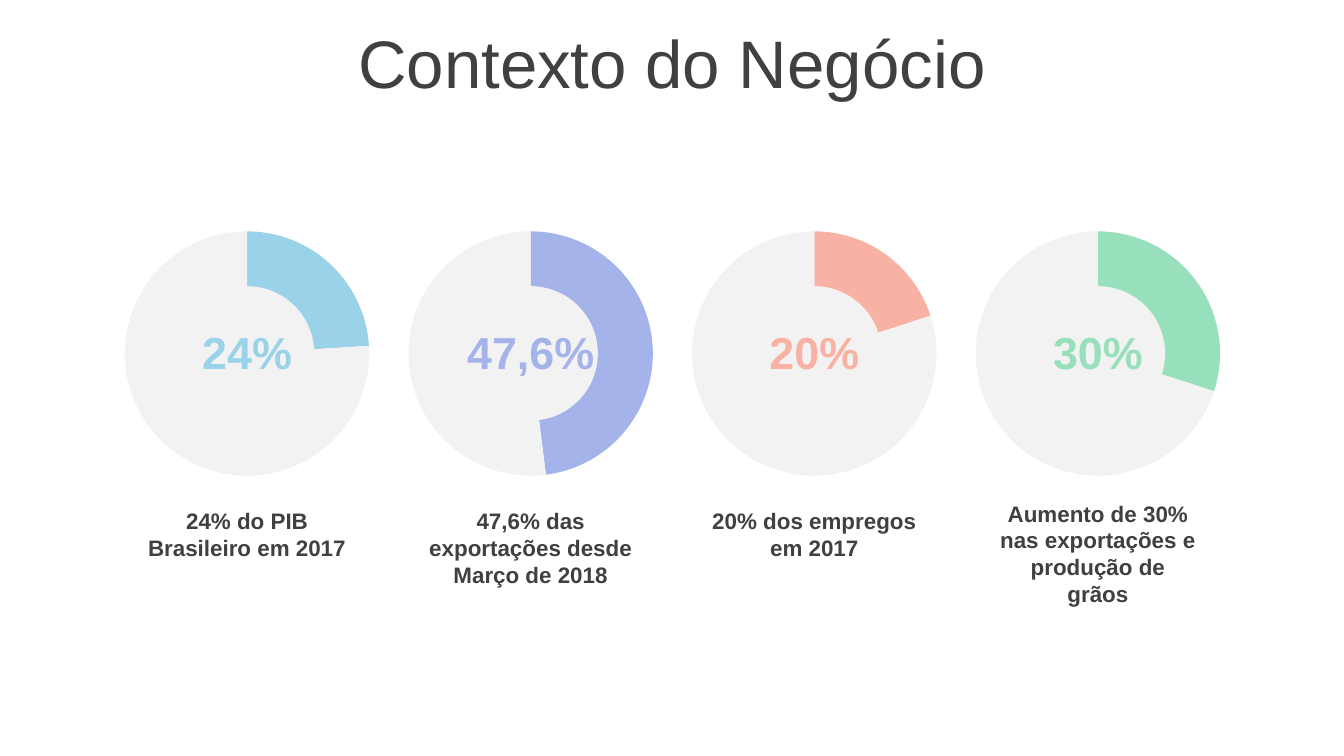
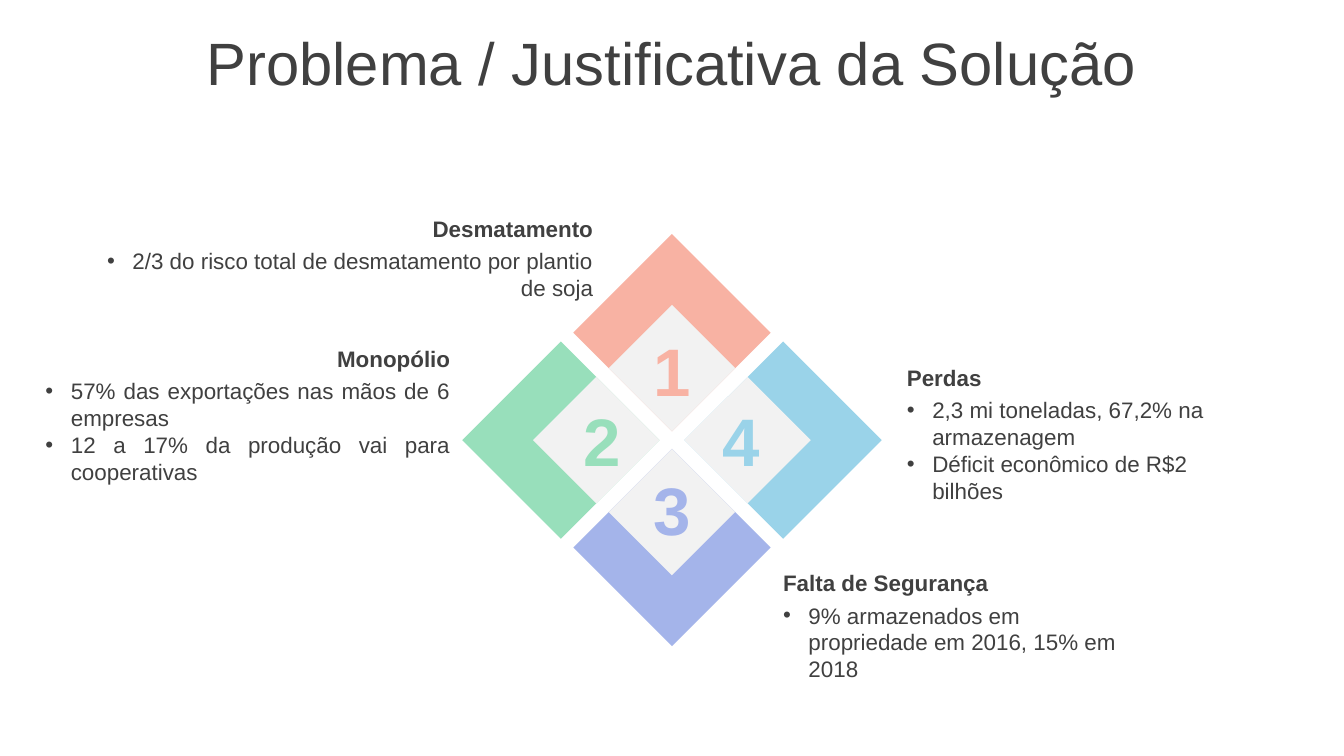
"""Build two slides on the business context and the problems behind the solution."""
from dataclasses import dataclass
from typing import Optional

from lxml.etree import SubElement
from pptx import Presentation
from pptx.chart.data import CategoryChartData
from pptx.dml.color import RGBColor
from pptx.enum.chart import XL_CHART_TYPE as ChartType
from pptx.enum.shapes import MSO_SHAPE as Preset
from pptx.enum.text import MSO_ANCHOR as Anchor, MSO_AUTO_SIZE as AutoSize, PP_ALIGN as Align
from pptx.oxml.ns import qn
from pptx.shapes.shapetree import GroupShapes, SlideShapes
from pptx.slide import Slide
from pptx.util import Cm, Pt


@dataclass(frozen=True)
class Theme:
    font: str = "Arial"
    text: str = "404040"
    black: str = "000000"
    paper: str = "FFFFFF"
    grey: str = "F2F2F2"
    blue: str = "9AD3E9"
    violet: str = "A4B4EA"
    coral: str = "F8B2A3"
    green: str = "98DFBB"
    title: int = 36
    long_title: int = 32
    number: int = 36
    percent: int = 24
    chart: int = 18
    body: int = 12


@dataclass(frozen=True)
class Box:
    left: float
    top: float
    width: float
    height: float

    def emu(self) -> tuple[Cm, Cm, Cm, Cm]:
        return Cm(self.left), Cm(self.top), Cm(self.width), Cm(self.height)


@dataclass(frozen=True)
class Indicator:
    value: int
    label: str
    label_width: float
    color: str
    caption: str
    caption_top: float
    caption_width: float
    caption_height: float


@dataclass(frozen=True)
class Quadrant:
    number: str
    color: str
    dx: int
    dy: int


@dataclass(frozen=True)
class Topic:
    heading: str
    bullets: tuple[str, ...]
    left: float
    top: float
    width: float
    body_height: float
    heading_align: Align = Align.LEFT
    body_align: Align = Align.LEFT


T = Theme()
SLIDE_W, SLIDE_H = 25.4, 14.29
TITLE_BOX = Box(0, 0.36, SLIDE_W, 1.6)

RING_X, RING_STEP = 4.67, 5.36
RING_TOP, RING_W, RING_H = 4.27, 4.62, 4.78
HUB_TOP, HUB = 5.41, 2.54
LABEL_TOP, LABEL_H = 6.02, 1.27

CENTER_X, CENTER_Y = 12.7, 8.32
OFFSET_X, OFFSET_Y = 2.1, 2.03
OUTER, INNER = 3.73, 2.39
INSET = (OUTER - INNER) / 2
NUMBER_OFFSET, NUMBER_W, NUMBER_H = 1.31, 1.55, 1.8
HEADING_H, BODY_DROP, BULLET_INDENT = 0.76, 0.61, 0.48

INDICATORS = (
    Indicator(24, "24%", 2.59, T.blue, "24% do PIB Brasileiro em 2017", 9.47, 4.27, 1.27),
    Indicator(48, "47,6%", 3.33, T.violet,
              "47,6% das exportações desde Março de 2018", 9.47, 4.8, 1.8),
    Indicator(20, "20%", 2.59, T.coral, "20% dos empregos em 2017", 9.47, 4.55, 1.27),
    Indicator(30, "30%", 2.59, T.green,
              "Aumento de 30% nas exportações e produção de grãos", 9.32, 4.27, 2.31),
)

QUADRANTS = (
    Quadrant("1", T.coral, 0, -1),
    Quadrant("3", T.violet, 0, 1),
    Quadrant("2", T.green, -1, 0),
    Quadrant("4", T.blue, 1, 0),
)

TOPICS = (
    Topic("Perdas",
          ("2,3 mi toneladas, 67,2% na armazenagem", "Déficit econômico de R$2 bilhões"),
          16.89, 6.76, 7.19, 2.31),
    Topic("Monopólio",
          ("57% das exportações nas mãos de 6 empresas",
           "12 a 17% da produção vai para cooperativas"),
          0.61, 6.4, 8.15, 1.8, Align.RIGHT, Align.JUSTIFY),
    Topic("Falta de Segurança",
          ("9% armazenados em propriedade em 2016, 15% em 2018",),
          14.55, 10.64, 7.19, 2.31),
    Topic("Desmatamento",
          ("2/3 do risco total de desmatamento por plantio de soja",),
          1.45, 3.94, 10.01, 1.27, Align.RIGHT, Align.RIGHT),
)


def rgb(color: str) -> RGBColor:
    return RGBColor.from_string(color)


def centered(cx: float, cy: float, width: float, height: float) -> Box:
    return Box(cx - width / 2, cy - height / 2, width, height)


def add_run(p, text: str, size: int, color: str = T.text, bold: bool = False) -> None:
    r = p.add_run()
    r.text = text
    r.font.name = T.font
    r.font.size = Pt(size)
    r.font.bold = bold
    r.font.color.rgb = rgb(color)


def set_bullet(p) -> None:
    ppr = p._p.get_or_add_pPr()
    ppr.set("marL", str(Cm(BULLET_INDENT)))
    ppr.set("indent", str(-Cm(BULLET_INDENT)))
    SubElement(ppr, qn("a:buFont")).set("typeface", T.font)
    SubElement(ppr, qn("a:buChar")).set("char", "•")


def add_text(shapes: SlideShapes | GroupShapes, box: Box, lines: tuple[str, ...], size: int,
             color: str = T.text, bold: bool = False, align: Align = Align.CENTER,
             anchor: Optional[Anchor] = None, bullets: bool = False) -> None:
    tf = shapes.add_textbox(*box.emu()).text_frame
    tf.word_wrap = True
    tf.auto_size = AutoSize.SHAPE_TO_FIT_TEXT
    tf.vertical_anchor = anchor
    for i, line in enumerate(lines):
        p = tf.add_paragraph() if i else tf.paragraphs[0]
        p.alignment = align
        if bullets:
            set_bullet(p)
        add_run(p, line, size, color, bold)


def add_preset(s: Slide, preset: Preset, box: Box, color: str) -> None:
    sp = s.shapes.add_shape(preset, *box.emu())
    sp.shadow.inherit = False
    sp.fill.solid()
    sp.fill.fore_color.rgb = rgb(color)
    sp.line.fill.background()


def add_titled_slide(prs: Presentation, title: str, size: int) -> Slide:
    s = prs.slides.add_slide(prs.slide_layouts[5])
    s.background.fill.solid()
    s.background.fill.fore_color.rgb = rgb(T.paper)
    sp = s.shapes.title
    sp.left, sp.top, sp.width, sp.height = TITLE_BOX.emu()
    tf = sp.text_frame
    tf.word_wrap = True
    tf.auto_size = AutoSize.NONE
    tf.vertical_anchor = Anchor.MIDDLE
    p = tf.paragraphs[0]
    p.alignment = Align.CENTER
    p.space_before = Pt(0)
    add_run(p, title, size)
    return s


def set_plot_layout(chart) -> None:
    area = chart._chartSpace.chart.plotArea
    layout = area.find(qn("c:layout"))
    if layout is None:
        layout = SubElement(area, qn("c:layout"))
        area.insert(0, layout)
    manual = SubElement(layout, qn("c:manualLayout"))
    for tag, val in (("layoutTarget", "inner"), ("xMode", "edge"), ("yMode", "edge"),
                     ("x", "0"), ("y", "0.02"), ("w", "1"), ("h", "0.97")):
        SubElement(manual, qn(f"c:{tag}")).set("val", val)


def add_ring(s: Slide, cx: float, item: Indicator) -> None:
    data = CategoryChartData()
    data.categories = ["1", "2"]
    data.add_series("Series 1", (item.value, 100 - item.value))
    box = Box(cx - RING_W / 2, RING_TOP, RING_W, RING_H)
    chart = s.shapes.add_chart(ChartType.DOUGHNUT, *box.emu(), data).chart
    chart.has_legend = False
    chart.has_title = False
    chart.font.name = T.font
    chart.font.size = Pt(T.chart)
    chart.font.color.rgb = rgb(T.black)
    plot = chart.plots[0]
    plot.vary_by_categories = True
    plot._element.find(qn("c:holeSize")).set("val", "75")
    set_plot_layout(chart)
    for i, color in enumerate((item.color, T.grey)):
        fmt = plot.series[0].points[i].format
        fmt.fill.solid()
        fmt.fill.fore_color.rgb = rgb(color)
        fmt.line.fill.background()


def add_indicator(s: Slide, cx: float, item: Indicator) -> None:
    add_ring(s, cx, item)
    add_preset(s, Preset.OVAL, Box(cx - HUB / 2, HUB_TOP, HUB, HUB), T.grey)
    label = Box(cx - item.label_width / 2, LABEL_TOP, item.label_width, LABEL_H)
    add_text(s.shapes, label, (item.label,), T.percent, item.color, True, anchor=Anchor.MIDDLE)
    caption = Box(cx - item.caption_width / 2, item.caption_top,
                  item.caption_width, item.caption_height)
    add_text(s.shapes, caption, (item.caption,), T.body, bold=True)


def add_quadrant(s: Slide, q: Quadrant) -> None:
    for size, inset, color in ((OUTER, 0, q.color), (INNER, INSET, T.grey)):
        box = centered(CENTER_X + q.dx * (OFFSET_X - inset),
                       CENTER_Y + q.dy * (OFFSET_Y - inset), size, size)
        add_preset(s, Preset.DIAMOND, box, color)
    number = centered(CENTER_X + q.dx * NUMBER_OFFSET, CENTER_Y + q.dy * NUMBER_OFFSET,
                      NUMBER_W, NUMBER_H)
    add_text(s.shapes, number, (q.number,), T.number, q.color, True)


def add_topic(s: Slide, t: Topic) -> None:
    shapes = s.shapes.add_group_shape().shapes
    add_text(shapes, Box(t.left, t.top + BODY_DROP, t.width, t.body_height),
             t.bullets, T.body, align=t.body_align, bullets=True)
    add_text(shapes, Box(t.left, t.top, t.width, HEADING_H),
             (t.heading,), T.body, bold=True, align=t.heading_align)


def main() -> None:
    prs = Presentation()
    prs.slide_width, prs.slide_height = Cm(SLIDE_W), Cm(SLIDE_H)

    s = add_titled_slide(prs, "Contexto do Negócio", T.title)
    for i, item in enumerate(INDICATORS):
        add_indicator(s, RING_X + i * RING_STEP, item)

    s = add_titled_slide(prs, "Problema / Justificativa da Solução", T.long_title)
    for q in QUADRANTS:
        add_quadrant(s, q)
    for t in TOPICS:
        add_topic(s, t)

    prs.save("out.pptx")


if __name__ == "__main__":
    main()
